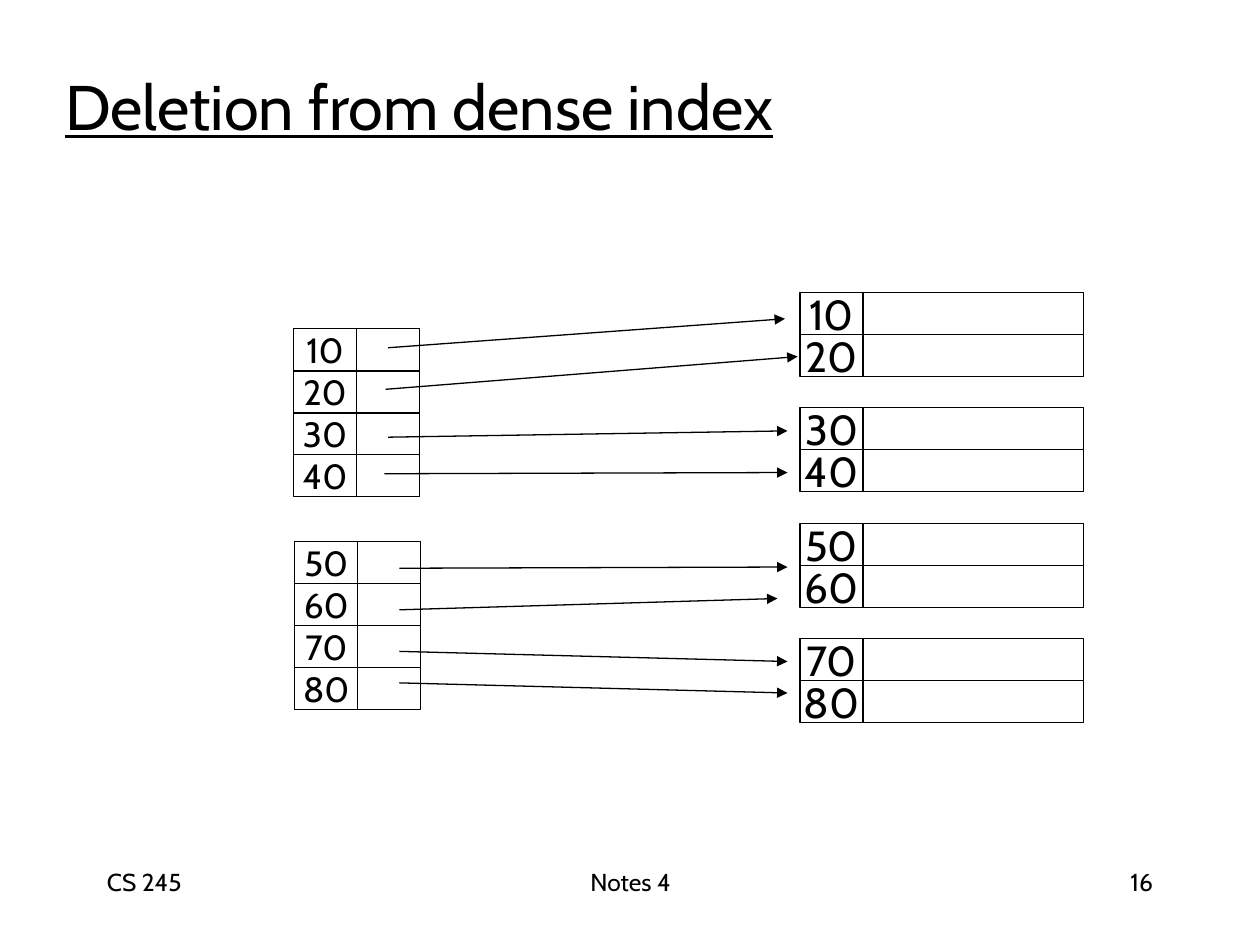
from dataclasses import dataclass
from typing import Any

from lxml.etree import SubElement
from pptx import Presentation
from pptx.dml.color import RGBColor
from pptx.enum.shapes import MSO_CONNECTOR as Link, MSO_SHAPE as Shape
from pptx.enum.text import MSO_ANCHOR as Anchor, PP_ALIGN as Align
from pptx.oxml.ns import qn
from pptx.util import Inches, Pt

ROW = 1 / 3
KEY = 0.5


def color(code):
    return RGBColor.from_string(code)


def write(frame, text, font="Cabin", size=14, ink="000000", align=Align.LEFT,
          anchor=Anchor.TOP, wrap=True, under=None):
    frame.word_wrap = wrap
    frame.vertical_anchor = anchor
    para = frame.paragraphs[0]
    para.alignment = align
    run = para.add_run()
    run.text = text
    run.font.name = font
    run.font.size = Pt(size)
    run.font.color.rgb = color(ink)
    run.font.underline = under


@dataclass
class Page:
    slide: Any
    ink: str = "000000"
    paper: str = "FFFFFF"
    weight: float = 0.75

    def label(self, text, left, top, width, height, **style):
        box = self.slide.shapes.add_textbox(
            Inches(left), Inches(top), Inches(width), Inches(height))
        write(box.text_frame, text, ink=self.ink, **style)

    def cell(self, home, left, top, width, text="", size=20):
        box = home.add_shape(Shape.RECTANGLE, Inches(left), Inches(top),
                             Inches(width), Inches(ROW))
        box.shadow.inherit = False
        box.fill.solid()
        box.fill.fore_color.rgb = color(self.paper)
        box.line.color.rgb = color(self.ink)
        box.line.width = Pt(self.weight)
        if text:
            write(box.text_frame, text, size=size, ink=self.ink,
                  align=Align.CENTER, anchor=Anchor.MIDDLE, wrap=False)

    def block(self, keys, left, top, width, size):
        home = self.slide.shapes.add_group_shape().shapes
        for row, key in enumerate(keys):
            y = top + row * ROW
            self.cell(home, left, y, KEY, str(key), size)
            self.cell(home, left + KEY, y, width)

    def arrow(self, x1, y1, x2, y2):
        line = self.slide.shapes.add_connector(
            Link.STRAIGHT, Inches(x1), Inches(y1), Inches(x2), Inches(y2))
        line.line.color.rgb = color(self.ink)
        line.line.width = Pt(self.weight)
        SubElement(line.line._get_or_add_ln(), qn("a:tailEnd"), type="triangle")
        SubElement(line._element.spPr, qn("a:effectLst"))


def main():
    deck = Presentation()
    deck.slide_width, deck.slide_height = Inches(10), Inches(7.5)
    page = Page(deck.slides.add_slide(deck.slide_layouts[6]))

    page.label("Deletion from dense index", 0.42, 0.42, 8.5, 0.83,
               size=36, anchor=Anchor.MIDDLE, under=True)

    for part in range(4):
        first = 10 + 20 * part
        page.block((first, first + 10), 6.35, 2.32 + part * 2.75 * ROW, 1.75, 24)

    page.block(range(10, 50, 10), 2.33, 2.61, 0.5, 20)
    page.block(range(50, 90, 10), 2.34, 4.3, 0.5, 20)

    links = [
        (3.08, 2.76, 6.23, 2.53),
        (3.06, 3.09, 6.33, 2.83),
        (3.08, 3.47, 6.25, 3.42),
        (3.05, 3.76, 6.25, 3.75),
        (3.17, 4.51, 6.25, 4.5),
        (3.17, 4.84, 6.17, 4.75),
        (3.17, 5.17, 6.25, 5.25),
        (3.17, 5.42, 6.25, 5.5),
    ]
    for ends in links:
        page.arrow(*ends)

    feet = [
        ("CS 245", 0.75, 2.08, Align.LEFT),
        ("Notes 4", 3.42, 3.17, Align.CENTER),
        ("16", 7.17, 2.08, Align.RIGHT),
    ]
    for text, left, width, align in feet:
        page.label(text, left, 6.83, width, 0.5, align=align)

    deck.save("out.pptx")


if __name__ == "__main__":
    main()
